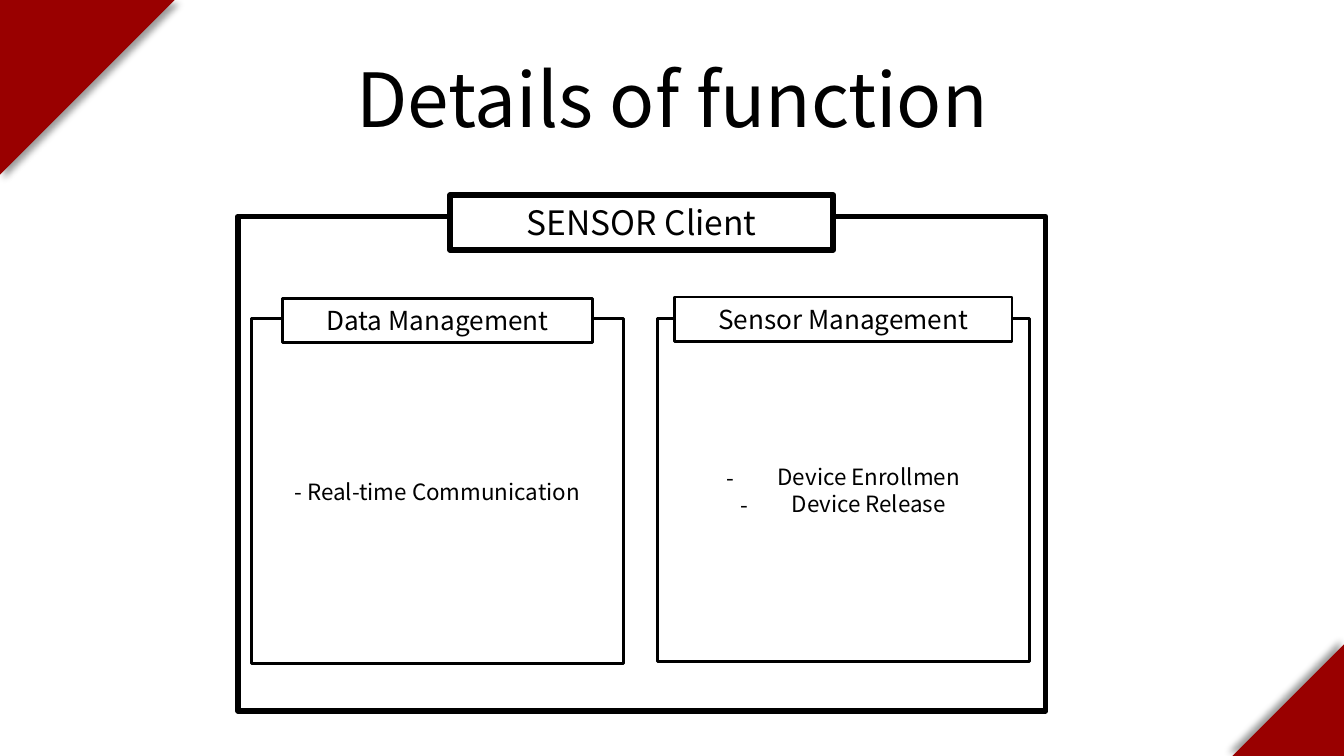
from lxml import etree
from pptx import Presentation, util as u
from pptx.dml.color import RGBColor
from pptx.enum import shapes, text
from pptx.oxml.ns import qn

WIDTH = 10
HEIGHT = WIDTH * 9 / 16
FONT = "Noto Sans CJK KR"
BLACK, WHITE, RED = "000000", "FFFFFF", "990000"
INDENT = 0.38

TITLE = "Details of function"
# size, rotation, shadow direction, at the far (bottom right) corner
CORNERS = [(1.3, 90, 45, False), (0.83, 270, 225, True)]
# Each frame carries a heading tab centred on its width, rising above its top edge
FRAMES = [
    dict(box=(1.77, 1.61, 6.01, 3.68), line=3, items=[], bullet=None,
         heading="SENSOR Client", size=18, tab=(2.85, 0.41), rise=0.16),
    dict(box=(4.89, 2.37, 2.77, 2.55), line=1.5, bullet="-",
         items=["Device Enrollmen", "Device Release"],
         heading="Sensor Management", size=14, tab=(2.51, 0.33), rise=0.16),
    dict(box=(1.87, 2.37, 2.77, 2.57), line=1.5, bullet=None,
         items=["- Real-time Communication"],
         heading="Data Management", size=14, tab=(2.31, 0.33), rise=0.15),
]


def color(value):
    return RGBColor.from_string(value)


def write(shape, lines, size, bullet=None, indent=0):
    frame = shape.text_frame
    frame.word_wrap = True
    frame.vertical_anchor = text.MSO_ANCHOR.MIDDLE
    for index, line in enumerate(lines):
        para = frame.add_paragraph() if index else frame.paragraphs[0]
        para.alignment = text.PP_ALIGN.CENTER
        span = para.add_run()
        span.text = line
        span.font.name = FONT
        span.font.size = u.Pt(size)
        span.font.color.rgb = color(BLACK)
        if indent:
            props = para._p.get_or_add_pPr()
            props.set("marL", str(u.Inches(indent)))
            props.set("indent", str(u.Inches(-indent)))
            if bullet:
                etree.SubElement(props, qn("a:buFont"), typeface=FONT)
                etree.SubElement(props, qn("a:buChar"), char=bullet)


def add_box(parent, kind, box, fill=None, line=None):
    shape = parent.add_shape(kind, *map(u.Inches, box))
    shape.shadow.inherit = False
    if fill:
        shape.fill.solid()
        shape.fill.fore_color.rgb = color(fill)
    else:
        shape.fill.background()
    if line:
        shape.line.color.rgb = color(BLACK)
        shape.line.width = u.Pt(line)
    else:
        shape.line.fill.background()
    return shape


def cast_shadow(shape, direction):
    effects = shape._element.spPr.find(qn("a:effectLst"))
    shadow = etree.SubElement(
        effects, qn("a:outerShdw"), blurRad=str(u.Pt(4)), dist=str(u.Pt(3)),
        dir=str(direction * 60000), algn="ctr", rotWithShape="0")
    tint = etree.SubElement(shadow, qn("a:srgbClr"), val=BLACK)
    etree.SubElement(tint, qn("a:alpha"), val="40000")


def add_corner(page, size, rotation, direction, far):
    left, top = (WIDTH - size, HEIGHT - size) if far else (0, 0)
    corner = add_box(page.shapes, shapes.MSO_SHAPE.RIGHT_TRIANGLE,
                     (left, top, size, size), fill=RED)
    corner.rotation = rotation
    cast_shadow(corner, direction)


def add_frame(group, box, line, items, bullet, heading, size, tab, rise):
    rectangle = shapes.MSO_SHAPE.RECTANGLE
    left, top, width, _ = box
    panel = add_box(group, rectangle, box, line=line)
    if items:
        write(panel, items, 12, bullet=bullet, indent=INDENT)
    tab_box = (left + (width - tab[0]) / 2, top - rise, *tab)
    write(add_box(group, rectangle, tab_box, fill=WHITE, line=line), [heading], size)


def main():
    deck = Presentation()
    deck.slide_width, deck.slide_height = u.Inches(WIDTH), u.Inches(HEIGHT)
    page = deck.slides.add_slide(deck.slide_layouts[5])
    title = page.shapes.title
    title.left, title.top = 0, 0
    title.width, title.height = u.Inches(WIDTH), u.Inches(1.45)
    write(title, [TITLE], 40)
    for corner in CORNERS:
        add_corner(page, *corner)
    diagram = page.shapes.add_group_shape().shapes
    for frame in FRAMES:
        add_frame(diagram, **frame)
    deck.save("out.pptx")


if __name__ == "__main__":
    main()
